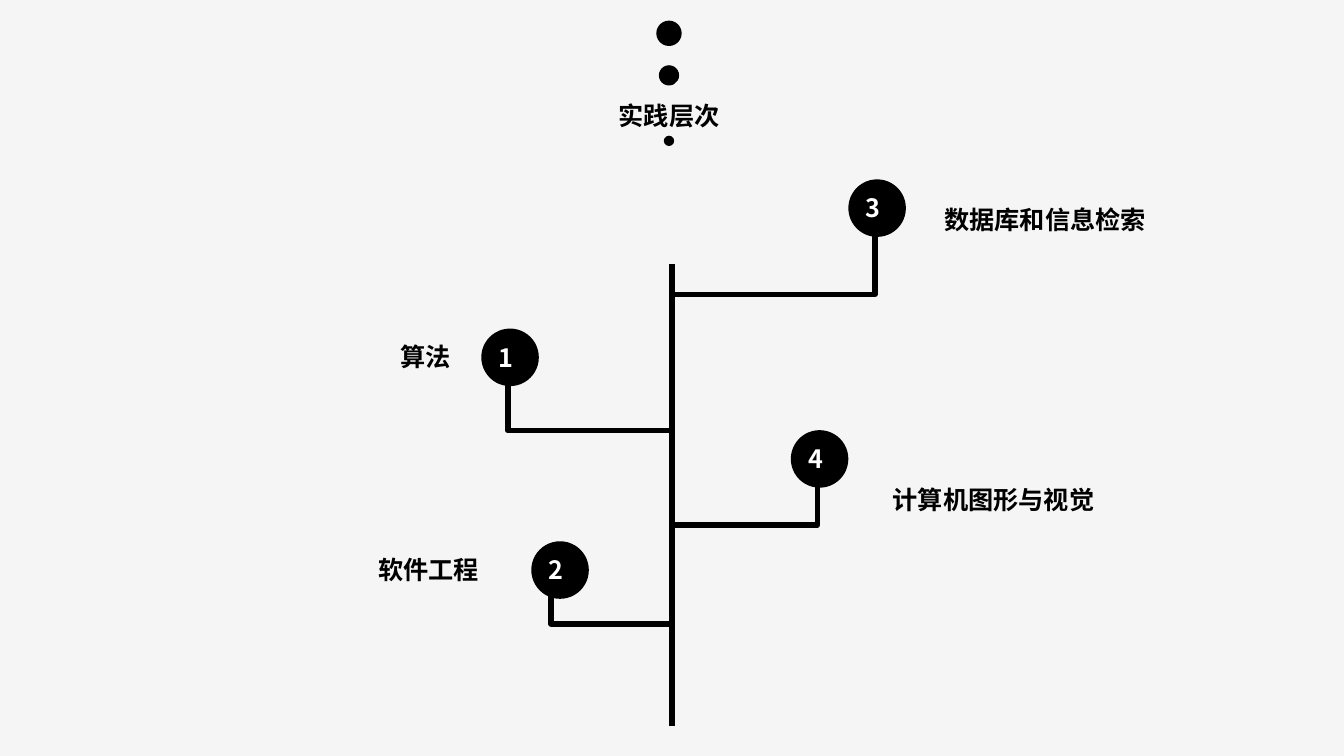
"""Build a slide with a four-branch tree of practice-level topics."""
import pptx
import pptx.dml.color
import pptx.enum.shapes
import pptx.enum.text
import pptx.oxml
import pptx.oxml.ns
import pptx.util

Cm, Pt = pptx.util.Cm, pptx.util.Pt
RGBColor = pptx.dml.color.RGBColor
MSO_SHAPE = pptx.enum.shapes.MSO_SHAPE
PP_ALIGN = pptx.enum.text.PP_ALIGN
qn = pptx.oxml.ns.qn

BLACK = RGBColor(0x00, 0x00, 0x00)
WHITE = RGBColor(0xFF, 0xFF, 0xFF)
PAPER = RGBColor(0xF5, 0xF5, 0xF5)
CJK = "Noto Sans CJK SC"
LATIN = "Calibri"

TITLE = ("实践层次", 15.34, 2.41)
DOT_X = 16.86
DOTS = [(0.84, 0.64), (1.9, 0.51), (3.55, 0.26)]
TRUNK_X, TRUNK_TOP, TRUNK_BOTTOM = 16.94, 6.65, 18.29
TOPICS = [
    {"no": "3", "label": "数据库和信息检索", "at": (23.55, 5.03), "align": PP_ALIGN.LEFT,
     "badge": (21.38, 4.52), "branch": (16.94, 7.42, 22.05, 5.21)},
    {"no": "4", "label": "计算机图形与视觉", "at": (22.25, 12.07), "align": PP_ALIGN.LEFT,
     "badge": (19.93, 10.84), "branch": (16.99, 13.23, 20.6, 11.71)},
    {"no": "1", "label": "算法", "at": (3.76, 8.48), "align": PP_ALIGN.RIGHT,
     "badge": (12.13, 8.28), "branch": (16.99, 10.85, 12.8, 9.04)},
    {"no": "2", "label": "软件工程", "at": (4.47, 13.84), "align": PP_ALIGN.RIGHT,
     "badge": (13.39, 13.64), "branch": (16.99, 15.72, 13.89, 14.4)},
]
BADGE = 1.45
LABEL_W, TITLE_W, DIGIT_W, TEXT_H = 7.85, 3.05, 0.69, 1.02
DIGIT_DX, DIGIT_DY = 0.19, 0.21


def add_disc(shapes, x, y, d):
    s = shapes.add_shape(MSO_SHAPE.OVAL, Cm(x), Cm(y), Cm(d), Cm(d))
    s.shadow.inherit = False
    s.fill.solid()
    s.fill.fore_color.rgb = BLACK
    s.line.fill.background()


def add_text(shapes, text, x, y, w, align, font=LATIN, color=BLACK, wrap=True):
    tf = shapes.add_textbox(Cm(x), Cm(y), Cm(w), Cm(TEXT_H)).text_frame
    tf.word_wrap = wrap
    tf.auto_size = pptx.enum.text.MSO_AUTO_SIZE.SHAPE_TO_FIT_TEXT
    p = tf.paragraphs[0]
    p.alignment = align
    r = p.add_run()
    r.text = text
    r.font.name = font
    r.font.size = Pt(18)
    r.font.bold = True
    r.font.color.rgb = color
    ea = pptx.oxml.ns.qn("a:ea")
    r.font._element.find(qn("a:latin")).addnext(r.font._element.makeelement(ea, {"typeface": CJK}))


def style_line(s):
    s.line.color.rgb = BLACK
    s.line.width = Pt(4)


def add_branch(shapes, x, y, tip_x, tip_y):
    builder = shapes.build_freeform(Cm(x), Cm(y))
    builder.add_line_segments([(Cm(tip_x), Cm(y)), (Cm(tip_x), Cm(tip_y))], close=False)
    s = builder.convert_to_shape()
    s.shadow.inherit = False
    s.fill.background()
    style_line(s)
    ln = s.line._get_or_add_ln()
    ln.append(ln.makeelement(qn("a:tailEnd"), {"type": "oval"}))


def main():
    prs = pptx.Presentation()
    prs.slide_width, prs.slide_height = Cm(33.87), Cm(19.05)
    slide = prs.slides.add_slide(prs.slide_layouts[6])
    slide.background.fill.solid()
    slide.background.fill.fore_color.rgb = PAPER
    shapes = slide.shapes

    for center_y, d in DOTS:
        add_disc(shapes, DOT_X - d / 2, center_y - d / 2, d)

    trunk = shapes.add_connector(pptx.enum.shapes.MSO_CONNECTOR.STRAIGHT, Cm(TRUNK_X),
                                 Cm(TRUNK_TOP), Cm(TRUNK_X), Cm(TRUNK_BOTTOM))
    style_line(trunk)
    sp_pr = trunk._element.spPr
    sp_pr.append(sp_pr.makeelement(qn("a:effectLst"), {}))

    for topic in TOPICS:
        add_branch(shapes, *topic["branch"])
    for topic in TOPICS:
        x, y = topic["badge"]
        group = shapes.add_group_shape().shapes
        add_disc(group, x, y, BADGE)
        add_text(group, topic["no"], x + DIGIT_DX, y + DIGIT_DY, DIGIT_W,
                 PP_ALIGN.LEFT, CJK, WHITE)
        add_text(shapes, topic["label"], *topic["at"], LABEL_W, topic["align"])

    add_text(shapes, *TITLE, TITLE_W, PP_ALIGN.CENTER, wrap=False)
    prs.save("out.pptx")


if __name__ == "__main__":
    main()
